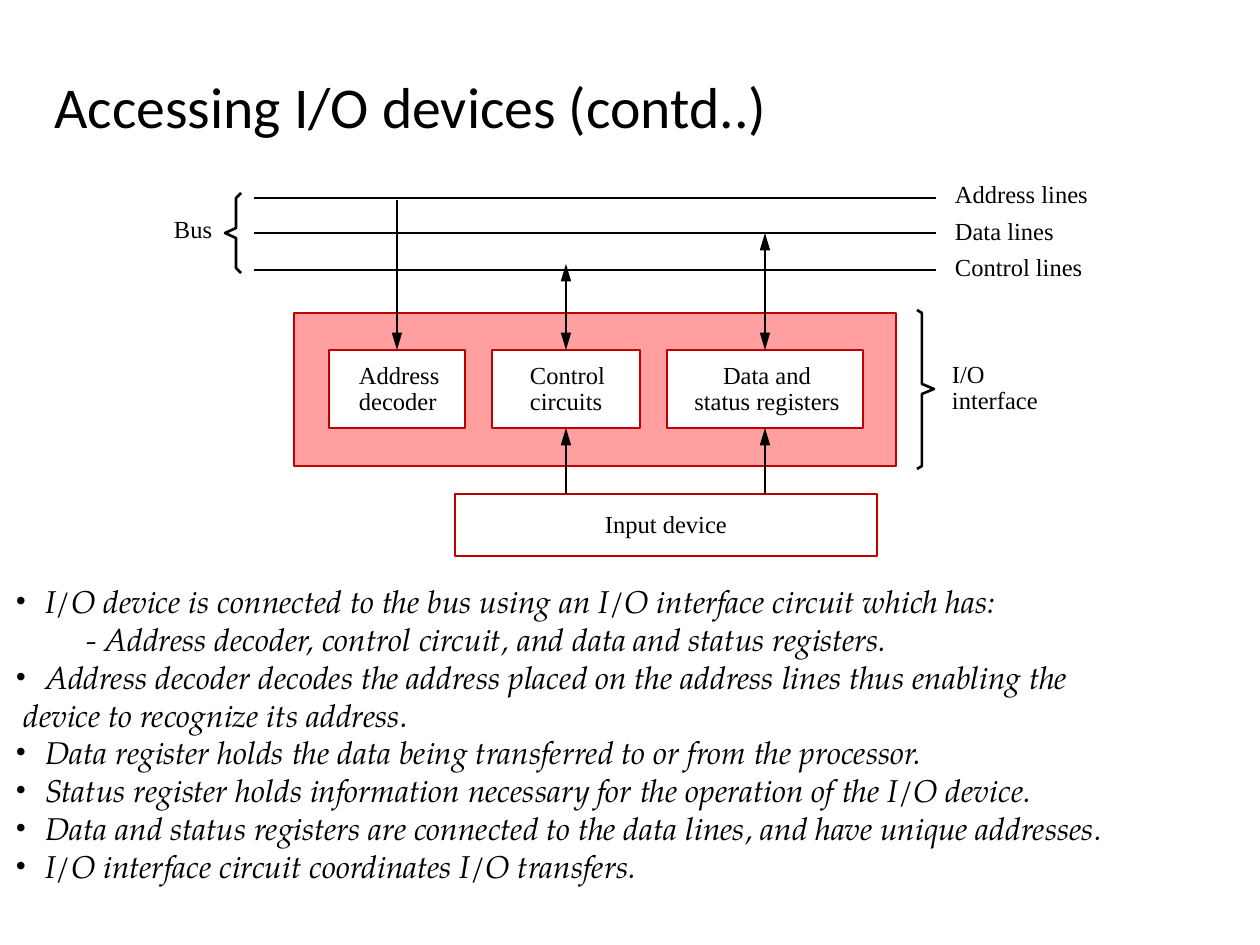
import pptx
import pptx.util
import pptx.dml.color
import pptx.enum.shapes
import pptx.enum.text
import pptx.oxml.ns
import lxml.etree

px = 7257  # EMU in one pixel, 126 to the inch
pt = pptx.util.Pt
align = pptx.enum.text.PP_ALIGN
anchor = pptx.enum.text.MSO_ANCHOR
qn = pptx.oxml.ns.qn


def hue(code):
    return pptx.dml.color.RGBColor.from_string(code)


def write(frame, rows, size, face, side=align.LEFT, gap=None):
    """Fill a frame with one paragraph for each row."""
    for i, row in enumerate(rows):
        para = frame.paragraphs[0] if i == 0 else frame.add_paragraph()
        para.text = row
        para.alignment = side
        para.line_spacing = gap
        para.font.size = pt(size)
        para.font.name = face
        para.font.color.rgb = hue("000000")


deck = pptx.Presentation()
deck.slide_width = pptx.util.Inches(10)
deck.slide_height = pptx.util.Inches(7.5)
slide = deck.slides.add_slide(deck.slide_layouts[6])
shapes = slide.shapes

# Title
title = shapes.add_textbox(42 * px, 42 * px, 1144 * px, 136 * px).text_frame
title.word_wrap = True
title.vertical_anchor = anchor.MIDDLE
write(title, ["Accessing I/O devices (contd..)"], 33, "Calibri", gap=0.9)

# Panel and boxes: rows, left, top, width, height, fill, left inset, side
boxes = {}
for name, rows, x, y, w, h, fill, inset, side in [
    ("panel", [], 294, 313, 602, 153, "FF9F9F", 0, align.CENTER),
    ("address", ["Address", "decoder"], 329, 350, 136, 78, "FFFFFF", 30, align.LEFT),
    ("control", ["Control", "circuits"], 492, 350, 148, 78, "FFFFFF", 38, align.LEFT),
    ("data", ["Data and", "status registers"], 667, 350, 196, 78, "FFFFFF", 4, align.CENTER),
    ("input", ["Input device"], 455, 494, 422, 62, "FFFFFF", 0, align.CENTER),
]:
    box = shapes.add_shape(pptx.enum.shapes.MSO_SHAPE.RECTANGLE, x * px, y * px, w * px, h * px)
    box.shadow.inherit = False
    box.fill.solid()
    box.fill.fore_color.rgb = hue(fill)
    box.line.color.rgb = hue("C00000")
    box.line.width = pt(1.5)
    frame = box.text_frame
    frame.word_wrap = True
    frame.vertical_anchor = anchor.MIDDLE
    frame.margin_left = inset * px
    frame.margin_right = frame.margin_top = frame.margin_bottom = 0
    write(frame, rows, 14, "Times New Roman", side, pt(15))
    boxes[name] = box

# Bus lines and arrows: from, to, heads, box joined at the end and its side
wires = [(254, y, 936, y, (), None, 0) for y in (198, 233, 270)]
wires += [
    (397, 200, 397, 350, ("tail",), "address", 0),
    (566, 264, 566, 350, ("head", "tail"), "control", 0),
    (765, 233, 765, 350, ("head", "tail"), "data", 0),
    (566, 494, 566, 428, ("tail",), "control", 2),
    (765, 494, 765, 428, ("tail",), "data", 2),
]
for x1, y1, x2, y2, heads, goal, side in wires:
    wire = shapes.add_connector(pptx.enum.shapes.MSO_CONNECTOR.STRAIGHT,
                                x1 * px, y1 * px, x2 * px, y2 * px)
    if goal:
        wire.end_connect(boxes[goal], side)
    wire.line.color.rgb = hue("000000")
    wire.line.width = pt(1.5)
    props = wire.line._get_or_add_ln()
    for head in heads:
        lxml.etree.SubElement(props, qn(f"a:{head}End"), type="triangle", w="med", len="lg")
    lxml.etree.SubElement(wire._element.spPr, qn("a:effectLst"))

# Braces: outer edge, spine, tip, top, middle, bottom, bend
for edge, spine, tip, top, mid, end, bend in [
    (241, 236, 225, 193, 233, 273, 5),
    (917, 922, 934, 310, 389, 469, 3),
]:
    form = shapes.build_freeform(edge, top, scale=px)
    form.add_line_segments([
        (spine, top + bend), (spine, mid - 5), (tip, mid),
        (spine, mid + 5), (spine, end - bend), (edge, end),
    ], close=False)
    brace = form.convert_to_shape()
    brace.shadow.inherit = False
    brace.fill.background()
    brace.line.color.rgb = hue("000000")
    brace.line.width = pt(1.5)

# Labels
for rows, x, y, w in [
    (["Bus"], 174, 214, 48),
    (["Address lines"], 955, 179, 150),
    (["Data lines"], 955, 216, 150),
    (["Control lines"], 955, 252, 150),
    (["I/O", "interface"], 952, 362, 110),
]:
    frame = shapes.add_textbox(x * px, y * px, w * px, len(rows) * 28 * px).text_frame
    frame.word_wrap = False
    frame.margin_left = frame.margin_right = frame.margin_top = frame.margin_bottom = 0
    write(frame, rows, 14, "Times New Roman", gap=pt(15) if len(rows) > 1 else None)

# Notes under the drawing: text and left margin, 30 for bulleted rows
notes = [
    ("I/O device is connected to the bus using an I/O interface circuit which has:", 30),
    ("- Address decoder, control circuit, and data and status registers.", 71),
    ("Address decoder decodes the address placed on the address lines thus enabling the", 30),
    ("device to recognize its address.", 8),
    ("Data register holds the data being transferred to or from the processor.", 30),
    ("Status register holds information necessary for the operation of the I/O device.", 30),
    ("Data and status registers are connected to the data lines, and have unique addresses.", 30),
    ("I/O interface circuit coordinates I/O transfers.", 30),
]
body = shapes.add_textbox(3 * px, 576 * px, 1250 * px, 315 * px).text_frame
body.word_wrap = True
write(body, [text for text, left in notes], 18, "TeX Gyre Pagella")
for para, (text, left) in zip(body.paragraphs, notes):
    props = para._p.get_or_add_pPr()
    props.set("marL", str(left * px))
    if left == 30:
        props.set("indent", str(-left * px))
        spot = props.find(qn("a:defRPr"))
        spot.addprevious(lxml.etree.Element(qn("a:buFont"), typeface="Times New Roman"))
        spot.addprevious(lxml.etree.Element(qn("a:buChar"), char="•"))
    para.font.italic = True

deck.save("out.pptx")
